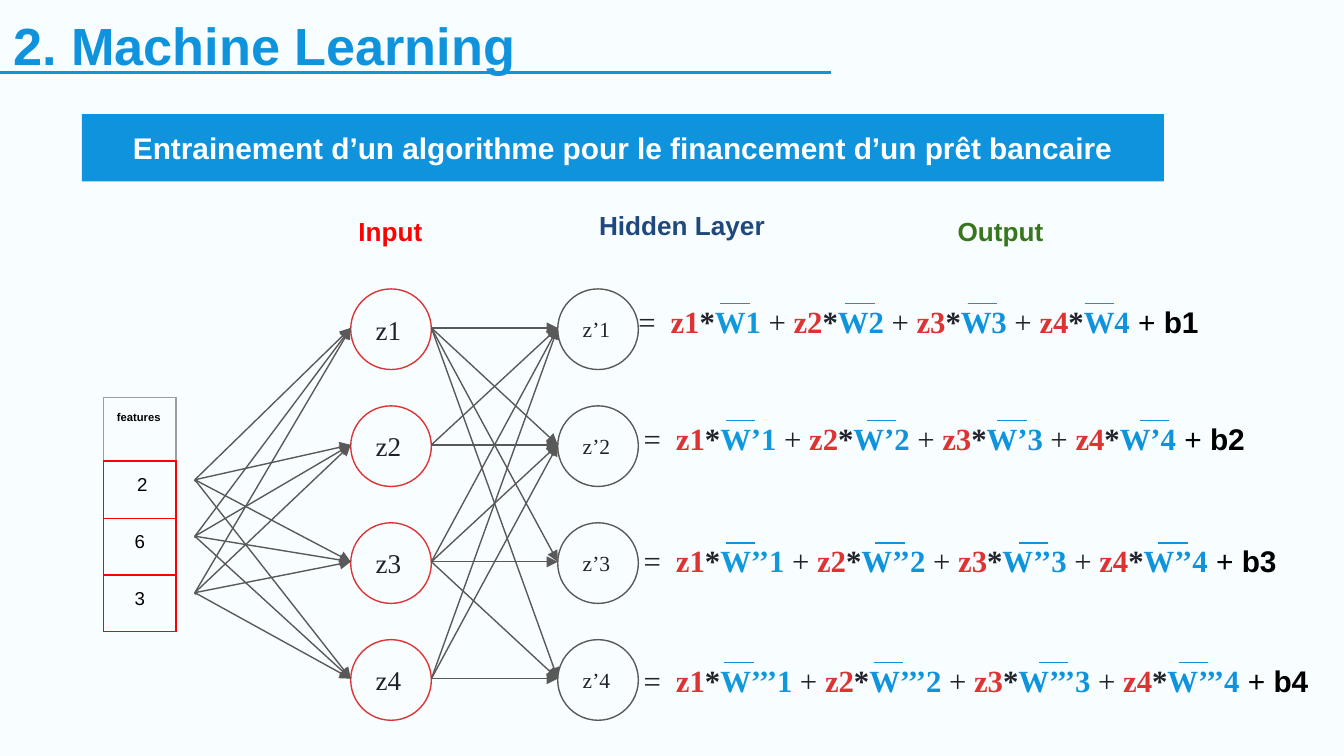
from itertools import product

from lxml.etree import SubElement
from pptx import Presentation
from pptx.dml.color import RGBColor
from pptx.enum.shapes import MSO_CONNECTOR, MSO_SHAPE
from pptx.enum.text import MSO_ANCHOR, PP_ALIGN
from pptx.oxml import parse_xml
from pptx.oxml.ns import nsdecls, qn
from pptx.util import Inches, Pt

COLORS = {
    "background": "F8FDFF", "blue": "1093DD", "red": "DD3333", "edge": "595959",
    "ink": "21212B", "black": "000000", "white": "FFFFFF", "input": "FF0000",
    "hidden": "1F497D", "output": "38761D", "header": "9E9E9E", "dot": "EEEEEE",
    "first_weight": "1098DD",
}
SANS, SERIF = "Arial", "Times New Roman"
NODE_SIZE, NODE_PITCH = 0.6, 0.87
MISSING_EDGES = {(1, 2), (1, 3), (3, 2)}


def color(name):
    """Return the named colour."""
    return RGBColor.from_string(COLORS[name])


def style_font(font, size, name, ink, bold=False):
    """Set size, typeface, colour and weight."""
    font.size, font.name, font.bold = Pt(size), name, bold
    font.color.rgb = color(ink)


def set_frame(frame, anchor=MSO_ANCHOR.TOP, inset=0.1):
    """Wrap a text frame and set its anchor and margins."""
    frame.word_wrap, frame.vertical_anchor = True, anchor
    frame.margin_left = frame.margin_right = Inches(0.1)
    frame.margin_top = frame.margin_bottom = Inches(inset)


def add_line(slide, start, end, ink, width=0.75, arrow=False):
    """Draw a straight line, with an arrowhead at its end if asked."""
    line = slide.shapes.add_connector(
        MSO_CONNECTOR.STRAIGHT, *(Inches(v) for v in (*start, *end)))
    line.line.color.rgb, line.line.width = color(ink), Pt(width)
    if arrow:
        SubElement(line.line._get_or_add_ln(), qn("a:tailEnd"), type="triangle")
    SubElement(line._element.spPr, qn("a:effectLst"))


def add_filled(slide, kind, box, fill=None, outline=None):
    """Add a shadowless shape with an optional fill and outline."""
    shape = slide.shapes.add_shape(kind, *(Inches(v) for v in box))
    shape.shadow.inherit = False
    for part, ink in ((shape.fill, fill), (shape.line.fill, outline)):
        if ink:
            part.solid()
            part.fore_color.rgb = color(ink)
        else:
            part.background()
    if outline:
        shape.line.width = Pt(0.75)
    return shape


def add_title(slide, box, text):
    """Place the slide title and the rule under it."""
    left, top, width, height = box
    title = slide.shapes.title
    title.left, title.top, title.width, title.height = (Inches(v) for v in box)
    set_frame(title.text_frame)
    title.text_frame.text = text
    paragraph = title.text_frame.paragraphs[0]
    paragraph.alignment = PP_ALIGN.LEFT
    style_font(paragraph.font, 28, SANS, "blue", True)
    add_line(slide, (left, top + 0.54), (left + 6.18, top + 0.54), "blue", 1.5)


def add_banner(slide, box, text):
    """Place the coloured subject band."""
    banner = add_filled(slide, MSO_SHAPE.RECTANGLE, box, fill="blue")
    set_frame(banner.text_frame, MSO_ANCHOR.MIDDLE, 0.05)
    banner.text_frame.text = text
    paragraph = banner.text_frame.paragraphs[0]
    paragraph.alignment = PP_ALIGN.CENTER
    style_font(paragraph.font, 16, SANS, "white", True)


def add_heading(slide, box, text, ink):
    """Place one layer heading."""
    heading = slide.shapes.add_textbox(*(Inches(v) for v in box))
    set_frame(heading.text_frame)
    paragraph = heading.text_frame.paragraphs[0]
    paragraph.text, paragraph.alignment = text, PP_ALIGN.CENTER
    style_font(paragraph.font, 14, SANS, ink, True)


def set_borders(cell, **inks):
    """Give a cell a coloured line on each named side."""
    properties = cell._tc.get_or_add_tcPr()
    for index, (side, ink) in enumerate(inks.items()):
        properties.insert(index, parse_xml(
            f'<a:ln{side} {nsdecls("a")} w="9525"><a:solidFill>'
            f'<a:srgbClr val="{COLORS[ink]}"/></a:solidFill></a:ln{side}>'))


def add_features(slide, box, values):
    """Place the feature table."""
    heights = (0.47, 0.43, 0.42, 0.42)
    table = slide.shapes.add_table(
        len(values), 1, *(Inches(v) for v in box)).table
    table.first_row = table.horz_banding = False
    table.columns[0].width = Inches(box[2])
    for index, (value, height) in enumerate(zip(values, heights)):
        table.rows[index].height = Inches(height)
        cell, header = table.cell(index, 0), index == 0
        cell.fill.background()
        cell.margin_left = cell.margin_right = Inches(0.1)
        cell.margin_top = cell.margin_bottom = Inches(0.1)
        side = "header" if header else "input"
        set_borders(cell, L=side, R=side, T=side, B="input")
        cell.text = value
        paragraph = cell.text_frame.paragraphs[0]
        paragraph.alignment = PP_ALIGN.LEFT if header else PP_ALIGN.CENTER
        style_font(paragraph.font, 6 if header else 10, SANS, "black", header)


def add_layer(slide, left, top, labels, size, outline):
    """Stack one layer of neurons and return their heights of centre."""
    for index, label in enumerate(labels):
        box = (left, top + index * NODE_PITCH, NODE_SIZE, NODE_SIZE)
        neuron = add_filled(slide, MSO_SHAPE.OVAL, box, outline=outline)
        set_frame(neuron.text_frame, MSO_ANCHOR.MIDDLE)
        neuron.text_frame.text = label
        paragraph = neuron.text_frame.paragraphs[0]
        paragraph.alignment = PP_ALIGN.LEFT
        style_font(paragraph.font, size, SERIF, "ink")
    return [top + 0.29 + index * NODE_PITCH for index in range(len(labels))]


def add_network(slide, left, top):
    """Draw the feature origins, both layers and the edges between them."""
    origins_x, input_x, hidden_x = left, left + 1.16, left + 2.7
    origins = [top + offset for offset in (1.42, 1.84, 2.26)]
    for y in origins:
        add_filled(slide, MSO_SHAPE.OVAL, (origins_x, y, 0.01, 0.01), "dot", "edge")
    inputs = add_layer(slide, input_x, top, ["z1", "z2", "z3", "z4"], 14.5, "red")
    hidden = add_layer(
        slide, hidden_x, top, ["z’1", "z’2", "z’3", "z’4"], 11.5, "edge")
    for start, end in product(origins, inputs):
        add_line(slide, (origins_x, start), (input_x, end), "edge", arrow=True)
    for (i, start), (j, end) in product(enumerate(inputs), enumerate(hidden)):
        if (i, j) not in MISSING_EDGES:
            add_line(slide, (input_x + NODE_SIZE, start), (hidden_x, end),
                     "edge", arrow=True)


def add_equation(slide, box, row, bars):
    """Write one weighted sum, with a bar over each weight."""
    left, top, width, height = box
    equation = slide.shapes.add_textbox(*(Inches(v) for v in box))
    set_frame(equation.text_frame)
    equation.text_frame.margin_left = Inches(0.21)
    paragraph = equation.text_frame.paragraphs[0]
    tabs = SubElement(paragraph._p.get_or_add_pPr(), qn("a:tabLst"))
    SubElement(tabs, qn("a:tab"), pos=str(Inches(0.24)), algn="l")

    def write(text, ink, bold, size=16.5, name=SERIF):
        """Append one formatted run."""
        run = paragraph.add_run()
        run.text = text
        style_font(run.font, size, name, ink, bold)

    write("=\t", "ink", False)
    for term, bar in enumerate(bars, 1):
        if term > 1:
            write(" + ", "ink", False)
        write(f"z{term}", "red", True)
        write("*", "ink", True)
        write(f"W{'’' * (row - 1)}{term}",
              "first_weight" if term == 1 else "blue", True)
        add_line(slide, (bar, top + 0.11), (bar + 0.22, top + 0.11), "blue")
    write(" + ", "black", False, 16, SANS)
    write(f"b{row}", "black", True, 16, SANS)


def main():
    """Build the slide and save it."""
    deck = Presentation()
    deck.slide_width, deck.slide_height = Inches(10), Inches(10 * 9 / 16)
    slide = deck.slides.add_slide(deck.slide_layouts[5])
    slide.background.fill.solid()
    slide.background.fill.fore_color.rgb = color("background")
    add_title(slide, (0, 0, 8.94, 0.67), "2. Machine Learning")
    add_banner(slide, (0.61, 0.85, 8.05, 0.5),
               "Entrainement d’un algorithme pour le financement d’un prêt bancaire")
    add_heading(slide, (1.52, 1.5, 2.77, 0.67), "Input", "input")
    add_heading(slide, (4.34, 1.46, 1.47, 0.44), "Hidden Layer", "hidden")
    add_heading(slide, (6.81, 1.5, 1.27, 0.44), "Output", "output")
    add_features(slide, (0.77, 2.96, 0.54, 1.74), ["features", " 2", "6", "3"])
    add_network(slide, 1.45, 2.15)
    equations = [
        ((4.54, 2.15, 5.06, 0.48), (5.36, 6.29, 7.2, 8.07)),
        ((4.58, 3.02, 5.06, 0.48), (5.4, 6.45, 7.42, 8.48)),
        ((4.58, 3.93, 5.06, 0.48), (5.4, 6.51, 7.58, 8.62)),
        ((4.58, 4.82, 5.4, 0.48), (5.39, 6.5, 7.73, 8.77)),
    ]
    for row, (box, bars) in enumerate(equations, 1):
        add_equation(slide, box, row, bars)
    deck.save("out.pptx")


if __name__ == "__main__":
    main()
